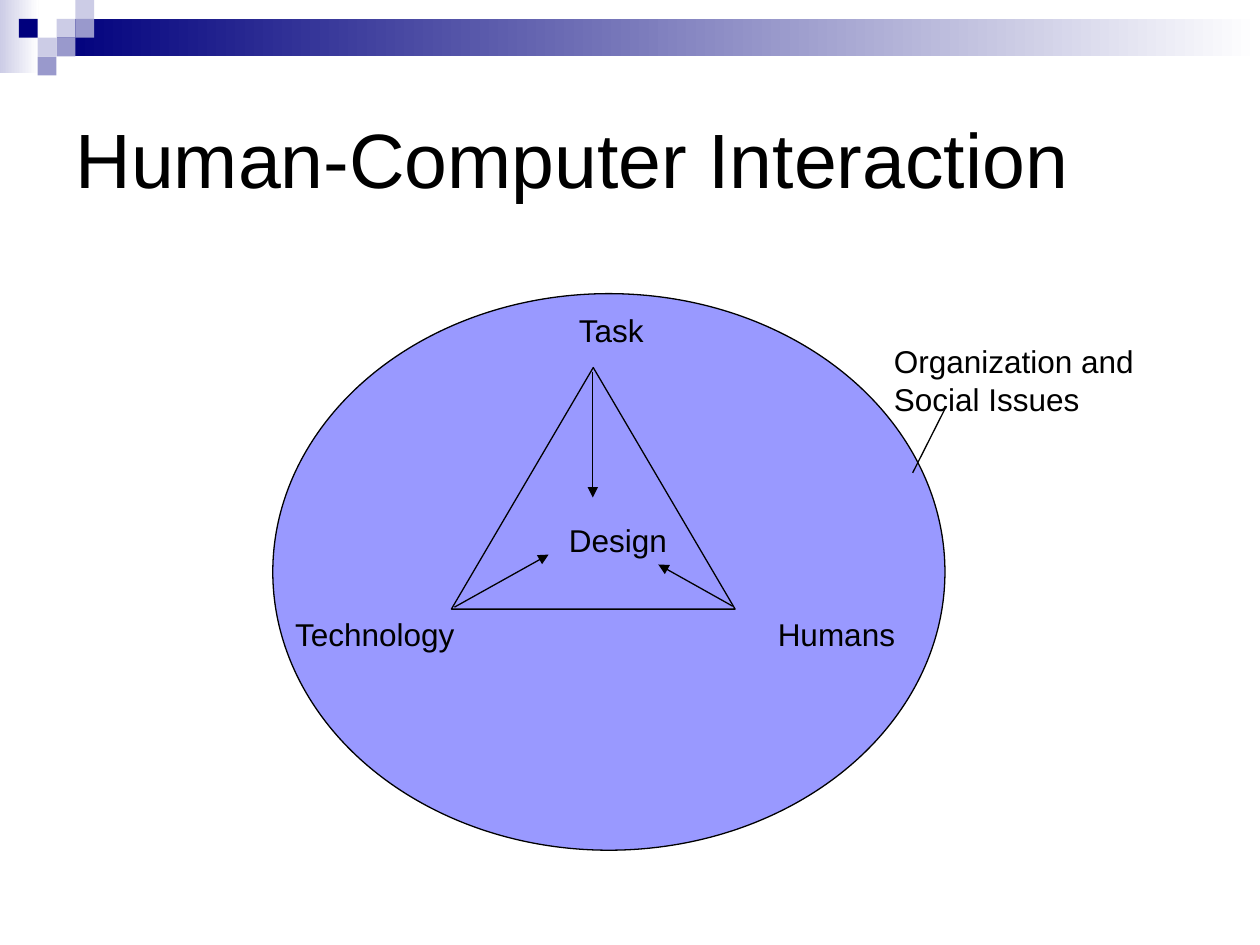
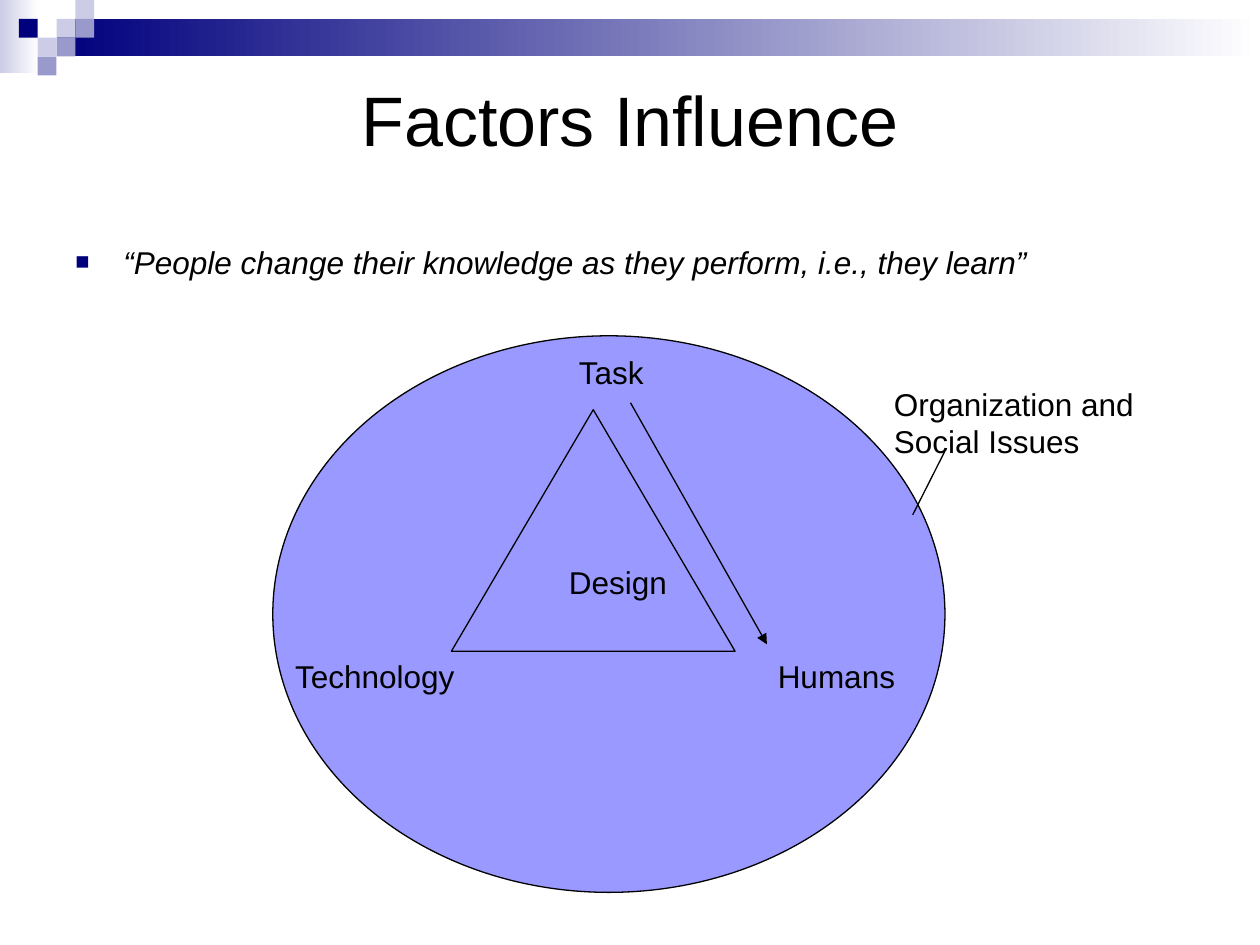
import pptx
import pptx.dml.color
import pptx.enum.shapes
import pptx.enum.text
import pptx.oxml
import pptx.oxml.ns
import pptx.util
from lxml import etree

Cm = pptx.util.Cm
Pt = pptx.util.Pt
Shape = pptx.enum.shapes.MSO_SHAPE
Align = pptx.enum.text.PP_ALIGN

FONT = "Arial"
BODY_SIZE = 18
LINE_WIDTH = 0.75
CELL = 0.38
SLIDE_BOX = (0, 0, 25.4, 19.05)
TITLE_BOX = (1.27, 1.27, 22.86, 3.81)
QUOTE_BOX = (1.27, 4.77, 22.86, 1)
COLORS = {
    "text": "000000",
    "white": "FFFFFF",
    "navy": "00007D",
    "pale": "CCCCE6",
    "mid": "9999CC",
    "diagram": "9999FF",
}
HEADER_CELLS = [
    (3, 1, "pale"), (4, 0, "pale"), (4, 1, "mid"), (2, 2, "pale"),
    (1, 1, "navy"), (3, 2, "mid"), (2, 3, "mid"),
]
DIAGRAM_LABELS = [
    ("Technology", 0.2, 6.35, 4.24, 1.02),
    ("Humans", 9.93, 6.35, 4.24, 1.02),
    ("Design", 5.72, 4.45, 3.18, 1.02),
    ("Organization and Social Issues", 12.27, 0.86, 6.15, 1.78),
    ("Task", 5.92, 0.22, 2.34, 1.02),
]
ISSUES_LEADER = (13.54, 2.34, 12.9, 3.61)
DESIGN_ARROWS = [
    (6.45, 1.57, 6.45, 4.11),
    (9.27, 6.3, 7.77, 5.46),
    (3.66, 6.32, 5.56, 5.26),
]
LEARNING_ARROWS = [(7.21, 1.35, 9.96, 6.22)]


def color(name):
    """Return the named colour."""
    return pptx.dml.color.RGBColor.from_string(COLORS[name])


def lengths(values):
    """Convert centimetre values to lengths."""
    return [Cm(value) for value in values]


def add_shape(slide, kind, box, fill, outlined=False):
    """Add a flat preset shape; a pair of fills makes a left-to-right gradient."""
    shape = slide.shapes.add_shape(kind, *lengths(box))
    shape.shadow.inherit = False
    if isinstance(fill, tuple):
        shape.fill.gradient()
        shape.fill.gradient_angle = 0
        for stop, name in zip(shape.fill.gradient_stops, fill):
            stop.color.rgb = color(name)
    else:
        shape.fill.solid()
        shape.fill.fore_color.rgb = color(fill)
    if outlined:
        shape.line.color.rgb = color("text")
        shape.line.width = Pt(LINE_WIDTH)
    else:
        shape.line.fill.background()
    return shape


def add_line(slide, ends, arrow=False):
    """Add a thin straight line, with an arrowhead at its end if asked."""
    straight = pptx.enum.shapes.MSO_CONNECTOR.STRAIGHT
    connector = slide.shapes.add_connector(straight, *lengths(ends))
    connector.line.color.rgb = color("text")
    connector.line.width = Pt(LINE_WIDTH)
    if arrow:
        outline = connector.line._get_or_add_ln()
        etree.SubElement(outline, pptx.oxml.ns.qn("a:tailEnd"), type="triangle")
    etree.SubElement(connector._element.spPr, pptx.oxml.ns.qn("a:effectLst"))


def format_text(paragraph, size, italic=False):
    """Apply the shared font to the runs of a paragraph."""
    for run in paragraph.runs:
        run.font.name = FONT
        run.font.size = Pt(size)
        run.font.italic = italic
        run.font.color.rgb = color("text")


def add_text(slide, text, box, italic=False):
    """Add a wrapping text box and return its paragraph."""
    text_frame = slide.shapes.add_textbox(*lengths(box)).text_frame
    text_frame.word_wrap = True
    text_frame.text = text
    paragraph = text_frame.paragraphs[0]
    format_text(paragraph, BODY_SIZE, italic)
    return paragraph


def draw_header(slide, box):
    """Draw the gradient bands and the stepped squares at the top of the box."""
    left, top, width, _ = box
    band_left = 3 * CELL
    add_shape(slide, Shape.RECTANGLE, (left, top, 0.78, 1.48), ("pale", "white"))
    add_shape(slide, Shape.RECTANGLE,
              (left + band_left, top + CELL, width - band_left, 2 * CELL),
              ("navy", "white"))
    for column, row, fill in HEADER_CELLS:
        add_shape(slide, Shape.RECTANGLE,
                  (left + column * CELL, top + row * CELL, CELL, CELL), fill)


def draw_title(slide, text, box, size, alignment, margin_bottom=0.13):
    """Place and format the title placeholder."""
    title = slide.shapes.title
    title.left, title.top, title.width, title.height = lengths(box)
    text_frame = title.text_frame
    text_frame.text = text
    text_frame.word_wrap = True
    text_frame.auto_size = pptx.enum.text.MSO_AUTO_SIZE.NONE
    text_frame.vertical_anchor = pptx.enum.text.MSO_ANCHOR.MIDDLE
    text_frame.margin_bottom = Cm(margin_bottom)
    paragraph = text_frame.paragraphs[0]
    paragraph.alignment = alignment
    format_text(paragraph, size)


def draw_quote(slide, text, box):
    """Draw an italic statement with a square bullet."""
    paragraph = add_text(slide, text, box, italic=True)
    properties = paragraph._p.get_or_add_pPr()
    indent = Cm(0.97)
    properties.set("marL", str(indent))
    properties.set("indent", str(-indent))
    namespace = pptx.oxml.ns.nsdecls("a")
    for bullet in (
        f'<a:buClr {namespace}><a:srgbClr val="{COLORS["navy"]}"/></a:buClr>',
        f'<a:buSzPct {namespace} val="75000"/>',
        f'<a:buFont {namespace} typeface="{FONT}"/>',
        f'<a:buChar {namespace} char="■"/>',
    ):
        properties.append(pptx.oxml.parse_xml(bullet))


def draw_diagram(slide, box, arrows):
    """Draw the task, technology and humans triangle inside its ellipse."""
    left, top, _, _ = box
    add_shape(slide, Shape.OVAL, box, "diagram", outlined=True)
    add_shape(slide, Shape.FLOWCHART_EXTRACT, (left + 3.6, top + 1.49, 5.72, 4.87),
              "diagram", outlined=True)
    for text, x, y, width, height in DIAGRAM_LABELS:
        add_text(slide, text, (left + x, top + y, width, height))
    for ends, arrow in [(ISSUES_LEADER, False)] + [(ends, True) for ends in arrows]:
        x1, y1, x2, y2 = ends
        add_line(slide, (left + x1, top + y1, left + x2, top + y2), arrow)


def add_slide(presentation):
    """Add a title-only slide with the shared header."""
    slide = presentation.slides.add_slide(presentation.slide_layouts[5])
    draw_header(slide, SLIDE_BOX)
    return slide


def build_interaction_slide(presentation):
    """Build the slide where all three factors point to design."""
    slide = add_slide(presentation)
    draw_title(slide, "Human-Computer Interaction", TITLE_BOX, 44, Align.LEFT)
    draw_diagram(slide, (5.5, 5.92, 13.55, 11.22), DESIGN_ARROWS)


def build_influence_slide(presentation):
    """Build the slide where the task changes the humans."""
    slide = add_slide(presentation)
    draw_title(slide, "Factors Influence", TITLE_BOX, 40, Align.CENTER,
               margin_bottom=1.7)
    draw_quote(slide, "“People change their knowledge as they perform, "
               "i.e., they learn”", QUOTE_BOX)
    draw_diagram(slide, (5.5, 6.77, 13.55, 11.22), LEARNING_ARROWS)


def main():
    """Build and save the presentation."""
    presentation = pptx.Presentation()
    presentation.slide_width, presentation.slide_height = lengths(SLIDE_BOX[2:])
    build_interaction_slide(presentation)
    build_influence_slide(presentation)
    presentation.save("out.pptx")


if __name__ == "__main__":
    main()
